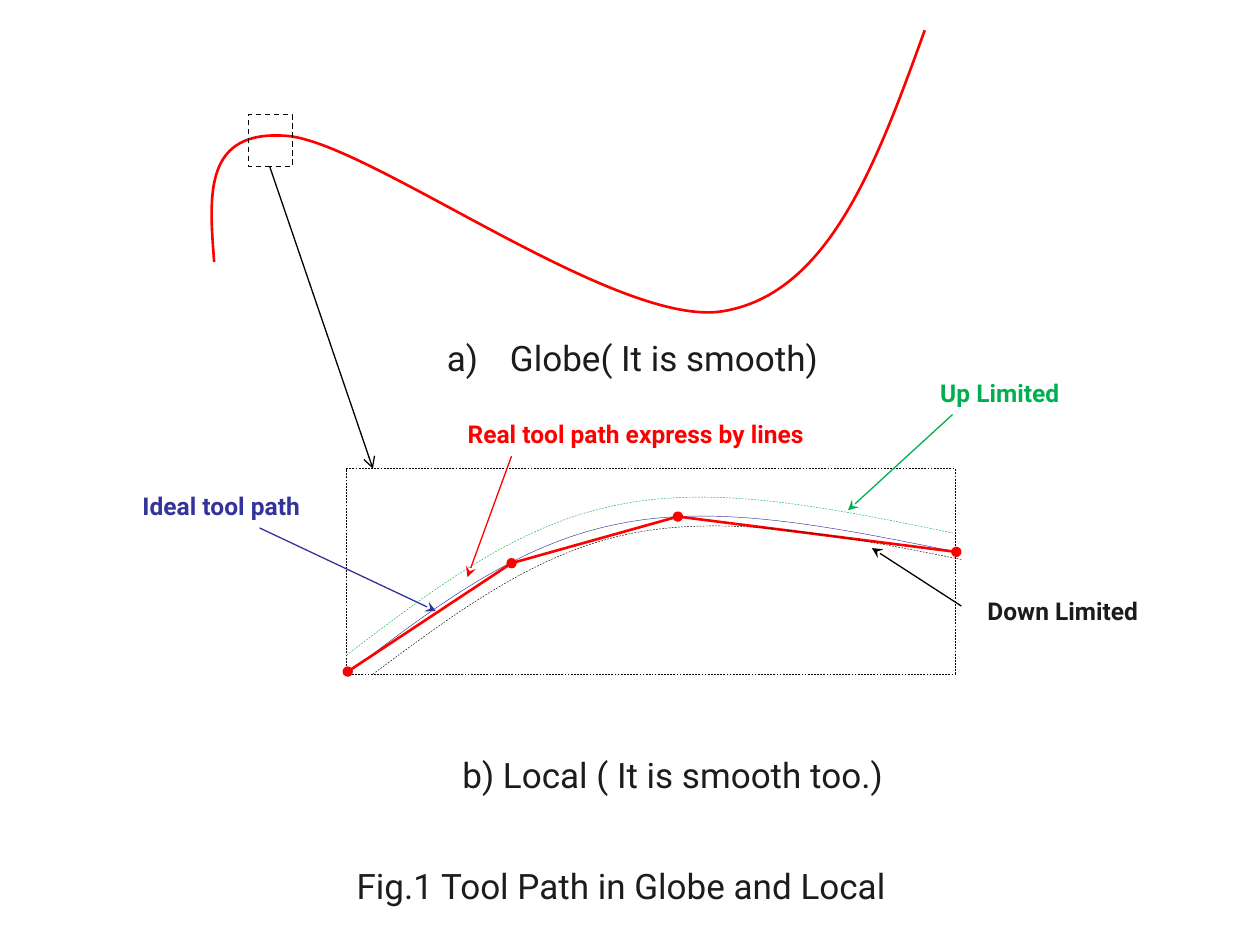
from itertools import pairwise

from lxml.etree import SubElement
from pptx import Presentation
from pptx.dml.color import RGBColor
from pptx.enum.dml import MSO_LINE
from pptx.enum.shapes import MSO_CONNECTOR, MSO_SHAPE
from pptx.enum.text import MSO_AUTO_SIZE, PP_ALIGN
from pptx.oxml.ns import qn
from pptx.util import Inches, Pt

RED = RGBColor(0xFF, 0x00, 0x00)
GREEN = RGBColor(0x00, 0xB0, 0x50)
BLUE = RGBColor(0x33, 0x33, 0x99)
BLACK = RGBColor(0x00, 0x00, 0x00)
INK = RGBColor(0x1C, 0x1C, 0x1C)


def write_text(paragraph, text, *, size, color, bold=False, font="Roboto"):
    paragraph.alignment = PP_ALIGN.CENTER
    run = paragraph.add_run()
    run.text = text
    run.font.name = font
    run.font.size = Pt(size)
    run.font.bold = bold
    run.font.color.rgb = color


def add_letter_bullet(paragraph, color):
    """Number the paragraph a), b), ... with a hanging indent."""
    properties = paragraph._p.get_or_add_pPr()
    properties.set("marL", str(Inches(0.5)))
    properties.set("indent", str(-Inches(0.5)))
    bullet_color = SubElement(properties, qn("a:buClr"))
    SubElement(bullet_color, qn("a:srgbClr"), val=str(color))
    SubElement(properties, qn("a:buAutoNum"), type="alphaLcParenR")


class Figure:
    """The current slide and the line and text style of its elements."""

    caption_size = 20
    label_size = 14

    def __init__(self, slide):
        self.slide = slide

    def style_line(self, line, color, width, dashed=False):
        line.color.rgb = color
        line.width = Pt(width)
        if dashed:
            line.dash_style = MSO_LINE.DASH

    def text(self, text, left, top, width, height, lettered=False, **style):
        box = self.slide.shapes.add_textbox(
            Inches(left), Inches(top), Inches(width), Inches(height))
        frame = box.text_frame
        frame.word_wrap = True
        frame.auto_size = MSO_AUTO_SIZE.SHAPE_TO_FIT_TEXT
        paragraph = frame.paragraphs[0]
        if lettered:
            add_letter_bullet(paragraph, style["color"])
        write_text(paragraph, text, **style)

    def caption(self, text, left, top, width=5.99, lettered=False):
        self.text(text, left, top, width, 0.44, lettered,
                  size=self.caption_size, color=INK)

    def label(self, text, left, top, color, width=1.96):
        self.text(text, left, top, width, 0.34,
                  size=self.label_size, color=color, bold=True)

    def frame(self, left, top, width, height, line_width):
        shape = self.slide.shapes.add_shape(
            MSO_SHAPE.RECTANGLE, Inches(left), Inches(top), Inches(width), Inches(height))
        shape.shadow.inherit = False
        shape.fill.background()
        self.style_line(shape.line, BLACK, line_width, dashed=True)

    def line(self, start, end, color, width=0.75, head=None, tail=None):
        connector = self.slide.shapes.add_connector(
            MSO_CONNECTOR.STRAIGHT, *(Inches(value) for value in (*start, *end)))
        self.style_line(connector.line, color, width)
        for tag, kind in (("a:headEnd", head), ("a:tailEnd", tail)):
            if kind:
                SubElement(connector.line._ln, qn(tag), type=kind)
        SubElement(connector._element.spPr, qn("a:effectLst"))

    def curve(self, points, color, width, dashed=False):
        """Draw Bezier segments: an anchor, then two controls and an anchor each."""
        points = [(Inches(x), Inches(y)) for x, y in points]
        builder = self.slide.shapes.build_freeform(*points[0])
        builder.add_line_segments(points[3::3], close=False)
        shape = builder.convert_to_shape()
        shape.shadow.inherit = False
        shape.fill.background()
        self.style_line(shape.line, color, width, dashed)
        # Bend each straight segment with its control points
        segments = list(shape._element.iter(qn("a:lnTo")))
        for index, segment in enumerate(segments):
            segment.tag = qn("a:cubicBezTo")
            segment.remove(segment[0])
            for x, y in points[3 * index + 1:3 * index + 4]:
                SubElement(segment, qn("a:pt"),
                           x=str(x - shape.left), y=str(y - shape.top))


def main():
    presentation = Presentation()
    presentation.slide_width = Inches(10)
    presentation.slide_height = Inches(7.5)
    figure = Figure(presentation.slides.add_slide(presentation.slide_layouts[6]))

    # Global tool path
    figure.curve([(1.7, 2.08), (1.66, 1.55), (1.61, 1.02), (2.29, 1.08),
                  (2.96, 1.15), (4.9, 2.61), (5.74, 2.47),
                  (6.58, 2.33), (6.96, 1.29), (7.34, 0.24)], RED, 1.5)

    # Captions
    figure.caption("Globe( It is smooth) ", 2.06, 2.62, lettered=True)
    figure.caption("Fig.1 Tool Path in Globe and Local ", 1.97, 6.81)
    figure.caption("b) Local ( It is smooth too.) ", 1.41, 5.93, width=7.93)

    # Detail frame and its enlargement
    figure.frame(1.97, 0.91, 0.35, 0.41, 0.75)
    figure.frame(2.75, 3.72, 4.83, 1.63, 0.25)
    figure.line((2.14, 1.32), (2.96, 3.72), BLACK, tail="arrow")

    # Ideal path
    figure.curve([(2.75, 5.35), (3.42, 4.84), (4.09, 4.32), (4.9, 4.16),
                  (5.7, 3.99), (6.64, 4.19), (7.59, 4.38)], BLUE, 0.25)

    # Real path in straight pieces with a dot at each joint
    joints = [(2.76, 5.33), (4.06, 4.47), (5.38, 4.1), (7.59, 4.38)]
    for start, end in pairwise(joints):
        figure.line(start, end, RED, 1.5, tail="oval",
                    head="oval" if start == joints[0] else None)

    # Upper and lower limits
    figure.curve([(2.75, 5.2), (3.42, 4.69), (4.09, 4.17), (4.89, 4.01),
                  (5.69, 3.84), (6.63, 4.04), (7.56, 4.23)], GREEN, 0.25, dashed=True)
    figure.curve([(2.96, 5.35), (3.61, 4.87), (4.25, 4.38), (5.03, 4.23),
                  (5.81, 4.08), (6.72, 4.26), (7.63, 4.44)], BLACK, 0.25, dashed=True)

    # Labels
    figure.label("Up Limited ", 6.98, 2.95, GREEN)
    figure.label("Down Limited ", 7.48, 4.68, INK)
    figure.label("Ideal tool path ", 0.8, 3.85, BLUE)
    figure.label("Real tool path express by lines ", 3.41, 3.28, RED, width=3.32)

    # Pointers from the labels
    for tip, end, color in (
        ((6.73, 4.05), (7.56, 3.29), GREEN),
        ((6.92, 4.35), (7.63, 4.81), BLACK),
        ((3.46, 4.85), (2.06, 4.19), BLUE),
        ((3.71, 4.58), (4.06, 3.62), RED),
    ):
        figure.line(tip, end, color, head="stealth")

    presentation.save("out.pptx")


if __name__ == "__main__":
    main()
